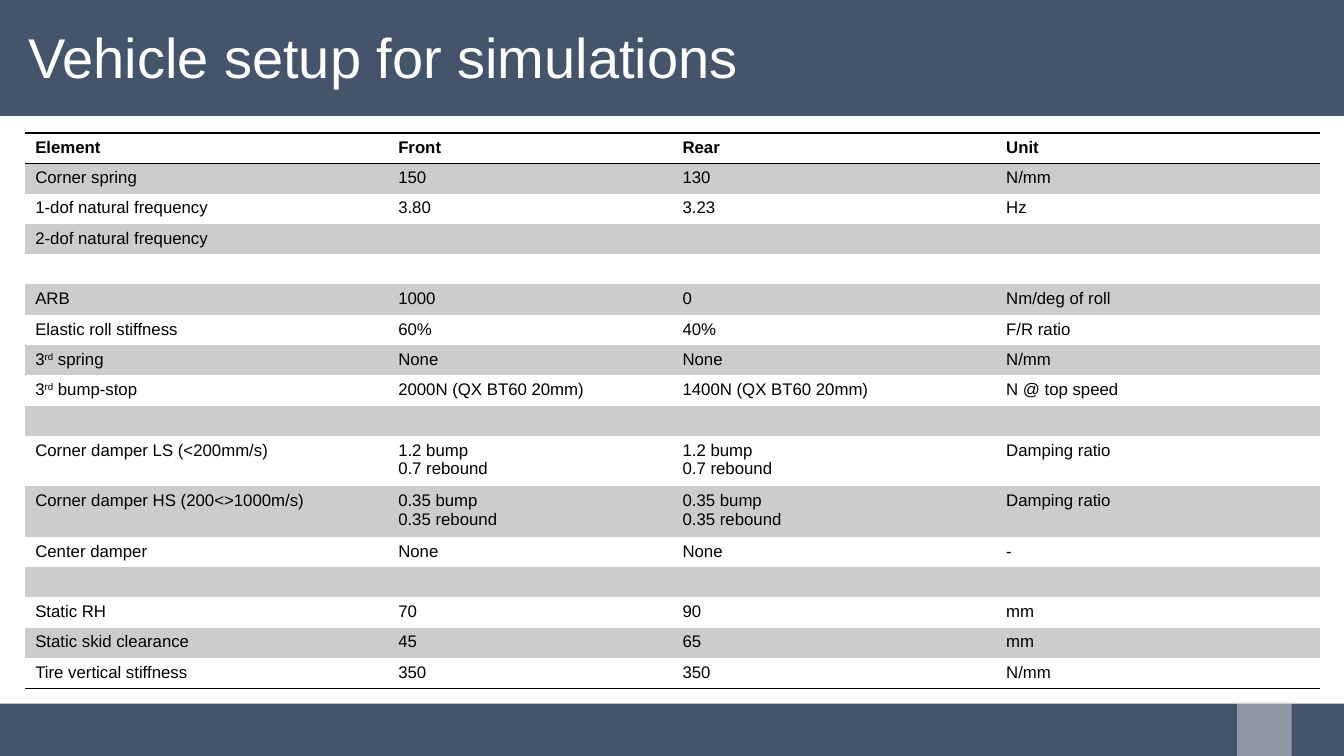
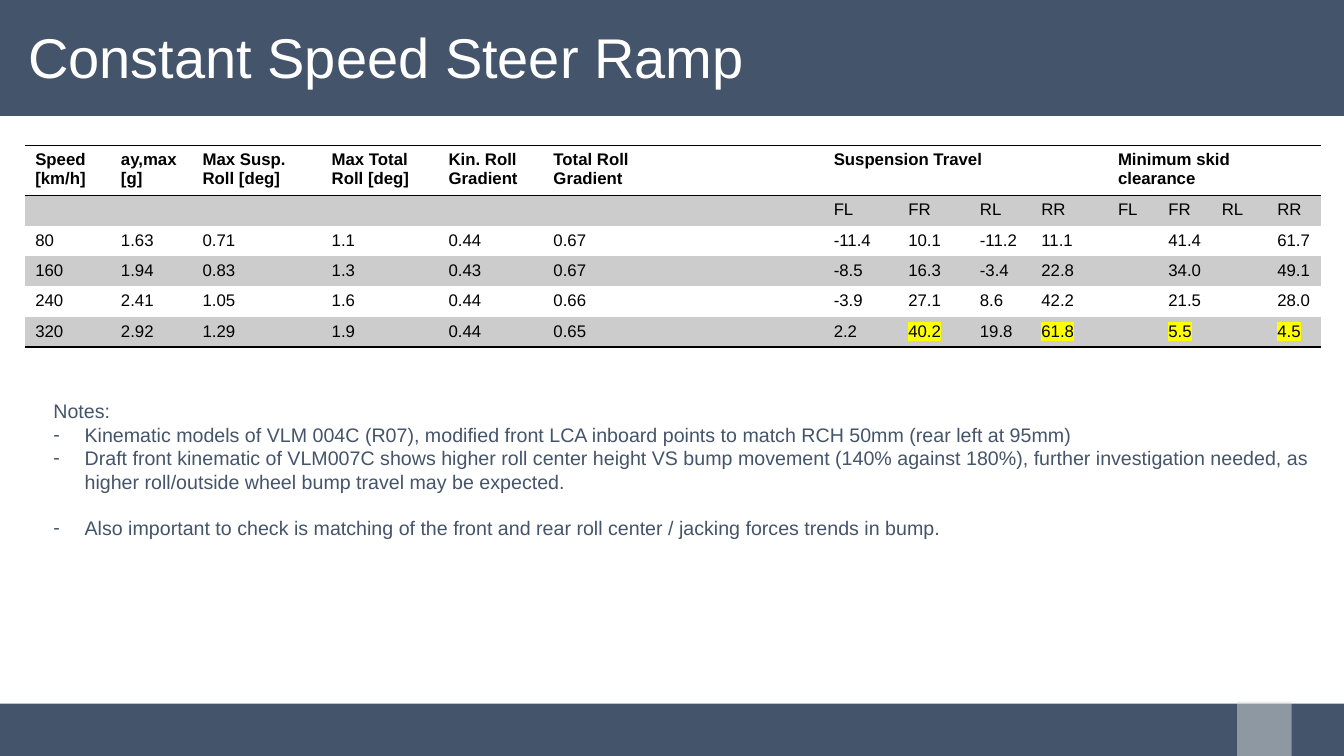
import dataclasses

import lxml.etree
import pptx
import pptx.dml.color
import pptx.enum.shapes
import pptx.enum.text
import pptx.oxml
import pptx.oxml.ns
import pptx.util

Inches = pptx.util.Inches
Pt = pptx.util.Pt
qn = pptx.oxml.ns.qn


@dataclasses.dataclass(frozen=True)
class Theme:
    font: str = "Arial"
    navy: str = "44546A"
    pale: str = "D9DCDC"
    white: str = "FFFFFF"
    black: str = "000000"
    stripe: str = "CCCCCC"
    marker: str = "FFFF00"
    title: int = 40
    note: int = 14
    cell: int = 12
    rule: int = 1


THEME = Theme()
WIDTH, HEIGHT = 13.33, 7.5
LEFT, SPAN = 0.25, 12.84
LINE = 0.19  # height of one line of cell text
PLAIN_GRID = "{2D5ABB26-0587-4C30-8999-92F81FD0307C}"

SETUP_COLS = [3.6, 2.82, 3.21, 3.21]
SETUP_ROWS = [
    ["Element", "Front", "Rear", "Unit"],
    ["Corner spring", "150", "130", "N/mm"],
    ["1-dof natural frequency", "3.80", "3.23", "Hz"],
    ["2-dof natural frequency", "", "", ""],
    ["", "", "", ""],
    ["ARB", "1000", "0", "Nm/deg of roll"],
    ["Elastic roll stiffness", "60%", "40%", "F/R ratio"],
    ["3^rd^ spring", "None", "None", "N/mm"],
    ["3^rd^ bump-stop", "2000N (QX BT60 20mm)", "1400N (QX BT60 20mm)", "N @ top speed"],
    ["", "", "", ""],
    ["Corner damper LS (<200mm/s)", "1.2 bump\n0.7 rebound", "1.2 bump\n0.7 rebound", "Damping ratio"],
    ["Corner damper HS (200<>1000m/s)", "0.35 bump\n0.35 rebound", "0.35 bump\n0.35 rebound",
     "Damping ratio"],
    ["Center damper", "None", "None", "-"],
    ["", "", "", ""],
    ["Static RH", "70", "90", "mm"],
    ["Static skid clearance", "45", "65", "mm"],
    ["Tire vertical stiffness", "350", "350", "N/mm"],
]

RAMP_COLS = [0.85, 0.81, 1.28, 1.16, 1.04, 1.1, 1.68,
             0.74, 0.71, 0.61, 0.76, 0.5, 0.53, 0.55, 0.53]
WHEELS = ["FL", "FR", "RL", "RR"]
RAMP_ROWS = [
    ["Speed\n[km/h]", "ay,max\n[g]", "Max Susp. Roll [deg]", "Max Total Roll [deg]",
     "Kin. Roll Gradient", "Total Roll Gradient", "",
     "Suspension Travel", "", "", "", "Minimum skid clearance", "", "", ""],
    [""] * 7 + WHEELS * 2,
    ["80", "1.63", "0.71", "1.1", "0.44", "0.67", "",
     "-11.4", "10.1", "-11.2", "11.1", "", "41.4", "", "61.7"],
    ["160", "1.94", "0.83", "1.3", "0.43", "0.67", "",
     "-8.5", "16.3", "-3.4", "22.8", "", "34.0", "", "49.1"],
    ["240", "2.41", "1.05", "1.6", "0.44", "0.66", "",
     "-3.9", "27.1", "8.6", "42.2", "", "21.5", "", "28.0"],
    ["320", "2.92", "1.29", "1.9", "0.44", "0.65", "",
     "2.2", "40.2", "19.8", "61.8", "", "5.5", "", "4.5"],
]
RAMP_MERGES = [(7, 10), (11, 14)]
RAMP_MARKS = {(5, 8), (5, 10), (5, 12), (5, 14)}

NOTES = [
    "Kinematic models of VLM 004C (R07), modified front LCA inboard points to match RCH 50mm "
    "(rear left at 95mm)",
    "Draft front kinematic of VLM007C shows higher roll center height VS bump movement "
    "(140% against 180%), further investigation needed, as higher roll/outside wheel bump "
    "travel may be expected.",
    "Also important to check is matching of the front and rear roll center / jacking forces "
    "trends in bump.",
]


def rgb(code):
    return pptx.dml.color.RGBColor.from_string(code)


def apply(target, values):
    for name, value in values.items():
        setattr(target, name, value)


def add_node(parent, tag, **values):
    return lxml.etree.SubElement(parent, qn(tag), values)


def add_run(para, text, size, color, bold=False):
    run = para.add_run()
    run.text = text
    apply(run.font, {"name": THEME.font, "size": Pt(size), "bold": bold})
    run.font.color.rgb = rgb(color)
    return run


def add_block(slide, box, color, alpha=None):
    """Draw a plain rectangle; alpha is its opacity in percent."""
    kind = pptx.enum.shapes.MSO_SHAPE.RECTANGLE
    block = slide.shapes.add_shape(kind, *map(Inches, box))
    block.shadow.inherit = False
    block.line.fill.background()
    block.fill.solid()
    block.fill.fore_color.rgb = rgb(color)
    if alpha:
        shade = block._element.spPr.find(qn("a:solidFill"))[0]
        add_node(shade, "a:alpha", val=str(alpha * 1000))


def add_text(slide, box, anchor):
    frame = slide.shapes.add_textbox(*map(Inches, box)).text_frame
    apply(frame, {
        "word_wrap": True,
        "vertical_anchor": anchor,
        "margin_left": Inches(0.28),
        "margin_top": Inches(0.08),
        "margin_right": Inches(0.1),
        "margin_bottom": Inches(0.04),
    })
    return frame


def add_page(deck, title):
    """Add a slide with the shared bands, corner block and title."""
    slide = deck.slides.add_slide(deck.slide_layouts[6])
    head = (0, 0, WIDTH, 1.15)
    add_block(slide, head, THEME.navy)
    add_block(slide, (0, 6.98, WIDTH, HEIGHT - 6.98), THEME.navy)
    add_block(slide, (12.27, 6.96, 0.54, 0.54), THEME.pale, alpha=50)
    para = add_text(slide, head, pptx.enum.text.MSO_ANCHOR.MIDDLE).paragraphs[0]
    para.line_spacing = 0.9
    add_run(para, title, THEME.title, THEME.white)
    return slide


def mark_run(run):
    """Highlight a run; the highlight must follow the text fill."""
    light = lxml.etree.Element(qn("a:highlight"))
    add_node(light, "a:srgbClr", val=THEME.marker)
    run._r.get_or_add_rPr().find(qn("a:solidFill")).addnext(light)


def fill_cell(cell, text, bold, marked):
    """Write cell text; carets enclose a superscript."""
    frame = cell.text_frame
    for index, line in enumerate(text.split("\n")):
        para = frame.add_paragraph() if index else frame.paragraphs[0]
        if not line:
            add_node(para._p, "a:endParaRPr", sz=str(THEME.cell * 100))
            continue
        for part, piece in enumerate(line.split("^")):
            run = add_run(para, piece, THEME.cell, THEME.black, bold)
            if part % 2:
                run._r.get_or_add_rPr().set("baseline", "30000")
            if marked:
                mark_run(run)


def rule_cell(cell, sides):
    """Draw borders on the given sides, ahead of the cell fill."""
    props = cell._tc.get_or_add_tcPr()
    for index, side in enumerate(sides):
        edge = lxml.etree.Element(qn("a:ln" + side), w=str(Pt(THEME.rule)))
        add_node(add_node(edge, "a:solidFill"), "a:srgbClr", val=THEME.black)
        props.insert(index, edge)


def add_grid(slide, top, cols, rows, tall=(), merges=(), marks=()):
    """Add a striped table; tall names the rows that hold two lines."""
    heights = [LINE * (2 if r in tall else 1) + 0.09 for r in range(len(rows))]
    box = (LEFT, top, SPAN, sum(heights))
    table = slide.shapes.add_table(len(rows), len(cols), *map(Inches, box)).table
    apply(table, {"first_row": False, "horz_banding": False})
    table._tbl.tblPr.find(qn("a:tableStyleId")).text = PLAIN_GRID
    for col, width in zip(table.columns, cols):
        col.width = Inches(width)
    last = len(rows) - 1
    for r, row in enumerate(rows):
        table.rows[r].height = Inches(heights[r])
        for c, text in enumerate(row):
            cell = table.cell(r, c)
            fill_cell(cell, text, r == 0, (r, c) in marks)
            if r % 2:
                cell.fill.solid()
                cell.fill.fore_color.rgb = rgb(THEME.stripe)
            else:
                cell.fill.background()
            rule_cell(cell, "TB" if r == 0 else "B" if r == last else "")
    for start, end in merges:
        table.cell(0, start).merge(table.cell(0, end))


def add_notes(slide, box, notes):
    frame = add_text(slide, box, pptx.enum.text.MSO_ANCHOR.TOP)
    add_run(frame.paragraphs[0], "Notes:", THEME.note, THEME.navy)
    for note in notes:
        para = frame.add_paragraph()
        add_run(para, note, THEME.note, THEME.navy)
        props = para._p.get_or_add_pPr()
        indent = Inches(0.31)
        props.set("marL", str(indent))
        props.set("indent", str(-indent))
        add_node(props, "a:buFont", typeface=THEME.font)
        add_node(props, "a:buChar", char="-")
    para.space_before = Pt(16)


def main():
    deck = pptx.Presentation()
    apply(deck, {"slide_width": Inches(WIDTH), "slide_height": Inches(HEIGHT)})

    setup = add_page(deck, "Vehicle setup for simulations")
    add_grid(setup, 1.32, SETUP_COLS, SETUP_ROWS, tall=(10, 11))

    ramp = add_page(deck, "Constant Speed Steer Ramp")
    add_grid(ramp, 1.44, RAMP_COLS, RAMP_ROWS, tall=(0,), merges=RAMP_MERGES, marks=RAMP_MARKS)
    add_notes(ramp, (LEFT, 3.88, SPAN, 2.17), NOTES)

    deck.save("out.pptx")


if __name__ == "__main__":
    main()
